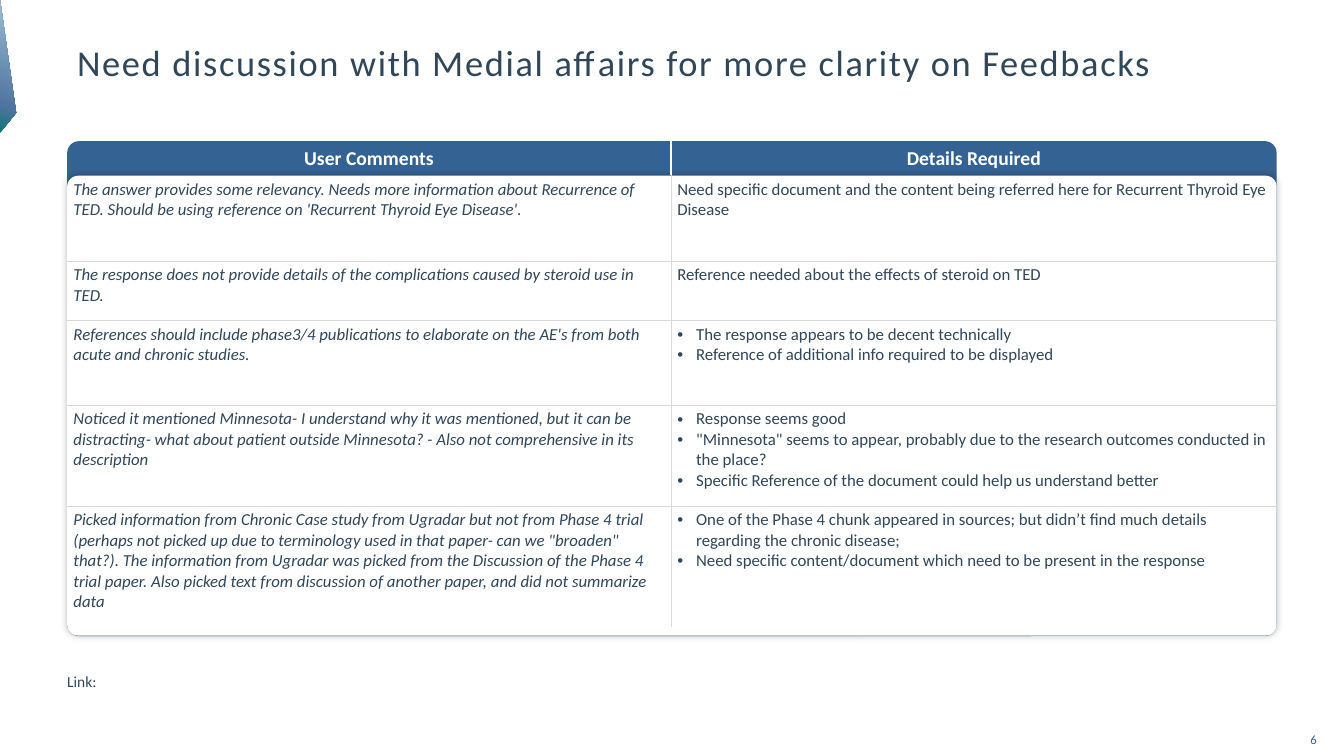
import pptx
import pptx.util
import pptx.dml.color
import pptx.enum.shapes
import pptx.enum.text
import pptx.oxml
import pptx.oxml.ns

Pt = pptx.util.Pt
Kind = pptx.enum.shapes.MSO_SHAPE
Align = pptx.enum.text.PP_ALIGN
Anchor = pptx.enum.text.MSO_ANCHOR
qn = pptx.oxml.ns.qn
NS = 'xmlns:a="http://schemas.openxmlformats.org/drawingml/2006/main"'

HUES = {"ink": "304659", "blue": "346393", "white": "FFFFFF", "rule": "D9D9D9",
        "teal": "137474", "steel": "4F74A0", "sky": "A0C1D6", "black": "000000"}
LEFT, WIDE, TOP = 48, 864, 100.8
COLS = [431.3, 432.7]
TALL = [24.5, 61.2, 42.5, 60.5, 72, 86.4]
HEADS = ["User Comments", "Details Required"]
# A list in the second column is bulleted
ROWS = [
    ("The answer provides some relevancy. Needs more information about Recurrence of TED. "
     "Should be using reference on 'Recurrent Thyroid Eye Disease'.",
     "Need specific document and the content being referred here for Recurrent Thyroid Eye Disease"),
    ("The response does not provide details of the complications caused by steroid use in TED.",
     "Reference needed about the effects of steroid on TED"),
    ("References should include phase3/4 publications to elaborate on the AE's from both "
     "acute and chronic studies.",
     ["The response appears to be decent technically",
      "Reference of additional info required to be displayed"]),
    ("Noticed it mentioned Minnesota- I understand why it was mentioned, but it can be "
     "distracting- what about patient outside Minnesota? - Also not comprehensive in its description",
     ["Response seems good",
      '"Minnesota" seems to appear, probably due to the research outcomes conducted in the place?',
      "Specific Reference of the document could help us understand better"]),
    ("Picked information from Chronic Case study from Ugradar but not from Phase 4 trial "
     "(perhaps not picked up due to terminology used in that paper- can we \"broaden\" that?). "
     "The information from Ugradar was picked from the Discussion of the Phase 4 trial paper. "
     "Also picked text from discussion of another paper, and did not summarize data",
     ["One of the Phase 4 chunk appeared in sources; but didn’t find much details "
      "regarding the chronic disease;",
      "Need specific content/document which need to be present in the response"]),
]


def xml(text):
    """Parse one element that has attributes, declaring the drawing namespace."""
    return pptx.oxml.parse_xml(text.replace(" ", f" {NS} ", 1))


def hue(name):
    return pptx.dml.color.RGBColor.from_string(HUES[name])


class Page:
    font = "Calibri"

    def __init__(self, slide):
        self.shapes = slide.shapes

    def style(self, frame, size, color, align=Align.LEFT, bold=False, italic=False):
        for para in frame.paragraphs:
            para.alignment = align
            for run in para.runs:
                font = run.font
                font.name, font.size = self.font, Pt(size)
                font.bold, font.italic = bold, italic
                font.color.rgb = hue(color)

    def text(self, box, words, size, color, align=Align.LEFT, inset=7.2, track=0):
        frame = self.shapes.add_textbox(*map(Pt, box)).text_frame
        frame.word_wrap = True
        frame.vertical_anchor = Anchor.MIDDLE
        frame.margin_left = frame.margin_right = Pt(inset)
        frame.margin_top = frame.margin_bottom = Pt(inset / 2)
        frame.text = words
        self.style(frame, size, color, align)
        if track:
            run = frame.paragraphs[0].runs[0]
            run.font._element.set("spc", str(round(track * 100)))

    def shape(self, kind, box, adjust, color):
        item = self.shapes.add_shape(kind, *map(Pt, box))
        item.adjustments[0] = adjust
        item.shadow.inherit = False
        item.line.fill.background()
        item.fill.solid()
        item.fill.fore_color.rgb = hue(color)
        return item

    def glow(self, item, blur, alpha):
        """Add a soft shadow with no offset."""
        item._element.spPr.find(qn("a:effectLst")).append(xml(
            f'<a:outerShdw blurRad="{Pt(blur)}" dist="0" algn="ctr" rotWithShape="0">'
            f'<a:srgbClr val="{HUES["black"]}"><a:alpha val="{alpha * 1000}"/></a:srgbClr>'
            '</a:outerShdw>'))

    def blend(self, item, stops, angle):
        """Replace the solid fill by a gradient."""
        marks = "".join(f'<a:gs pos="{pos * 1000}"><a:srgbClr val="{HUES[name]}"/></a:gs>'
                        for pos, name in stops)
        props = item._element.spPr
        props.replace(props.find(qn("a:solidFill")), xml(
            f'<a:gradFill rotWithShape="1"><a:gsLst>{marks}</a:gsLst>'
            f'<a:lin ang="{angle * 60000}" scaled="0"/></a:gradFill>'))

    def border(self, cell, sides, color, width):
        """Draw the given sides, named in the order L, R, T, B."""
        for spot, side in enumerate(sides):
            cell._tc.get_or_add_tcPr().insert(spot, xml(
                f'<a:ln{side} w="{Pt(width)}"><a:solidFill><a:srgbClr val="{HUES[color]}"/>'
                f'</a:solidFill></a:ln{side}>'))

    def bullet(self, para):
        props = para._p.get_or_add_pPr()
        props.set("marL", str(Pt(13.5)))
        props.set("indent", str(Pt(-13.5)))
        props.append(xml('<a:buFont typeface="Arial"/>'))
        props.append(xml('<a:buChar char="•"/>'))

    def cell(self, cell, words):
        listed = isinstance(words, list)
        cell.fill.background()
        cell.margin_left = cell.margin_right = Pt(4.5)
        cell.margin_top = cell.margin_bottom = Pt(2.7)
        cell.text_frame.text = "\n".join(words) if listed else words
        if listed:
            for para in cell.text_frame.paragraphs:
                self.bullet(para)

    def table(self, left, top, cols, tall, heads, rows):
        grid = self.shapes.add_table(len(tall), len(cols), Pt(left), Pt(top),
                                     Pt(sum(cols)), Pt(sum(tall))).table
        grid.first_row = grid.horz_banding = False
        plain = "{2D5ABB26-0587-4C30-8999-92F81FD0307C}"
        grid._tbl.tblPr.find(qn("a:tableStyleId")).text = plain
        for col, width in zip(grid.columns, cols):
            col.width = Pt(width)
        for row, height in zip(grid.rows, tall):
            row.height = Pt(height)
        for y, pair in enumerate([heads, *rows]):
            for x, words in enumerate(pair):
                cell = grid.cell(y, x)
                self.cell(cell, words)
                side = "L" if x else "R"
                if y == 0:
                    cell.vertical_anchor = Anchor.MIDDLE
                    self.style(cell.text_frame, 14, "white", Align.CENTER, bold=True)
                    self.border(cell, side, "white", 1)
                else:
                    self.style(cell.text_frame, 12, "ink", italic=x == 0)
                    upper = "T" if y > 1 else ""
                    lower = "B" if y < len(rows) else ""
                    self.border(cell, side + upper + lower, "rule", 0.75)


def main():
    deck = pptx.Presentation()
    deck.slide_width, deck.slide_height = Pt(960), Pt(540)
    page = Page(deck.slides.add_slide(deck.slide_layouts[6]))

    page.text((919.5, 522, 37.5, 12.2), "6", 9, "blue", Align.CENTER)
    wedge = page.shape(Kind.ISOSCELES_TRIANGLE, (-41.75, 41.75, 95, 11.5), 0.848, "steel")
    wedge.rotation = 90
    page.blend(wedge, [(0, "teal"), (21, "steel"), (100, "sky")], 200)

    page.text((LEFT, 479.5, WIDE, 13.7), "Link:", 11, "ink", inset=0)
    page.shape(Kind.ROUNDED_RECTANGLE, (LEFT, TOP, WIDE, 353.5), 0.024, "blue")
    page.text((LEFT, 24.5, WIDE, 39), "Need discussion with Medial affairs for more clarity on Feedbacks",
              26, "ink", track=1.2)
    card = page.shape(Kind.ROUNDED_RECTANGLE, (LEFT, 125.5, WIDE, 328.5), 0.024, "white")
    page.glow(card, 5, 25)
    page.table(LEFT, TOP, COLS, TALL, HEADS, ROWS)
    deck.save("out.pptx")


if __name__ == "__main__":
    main()
